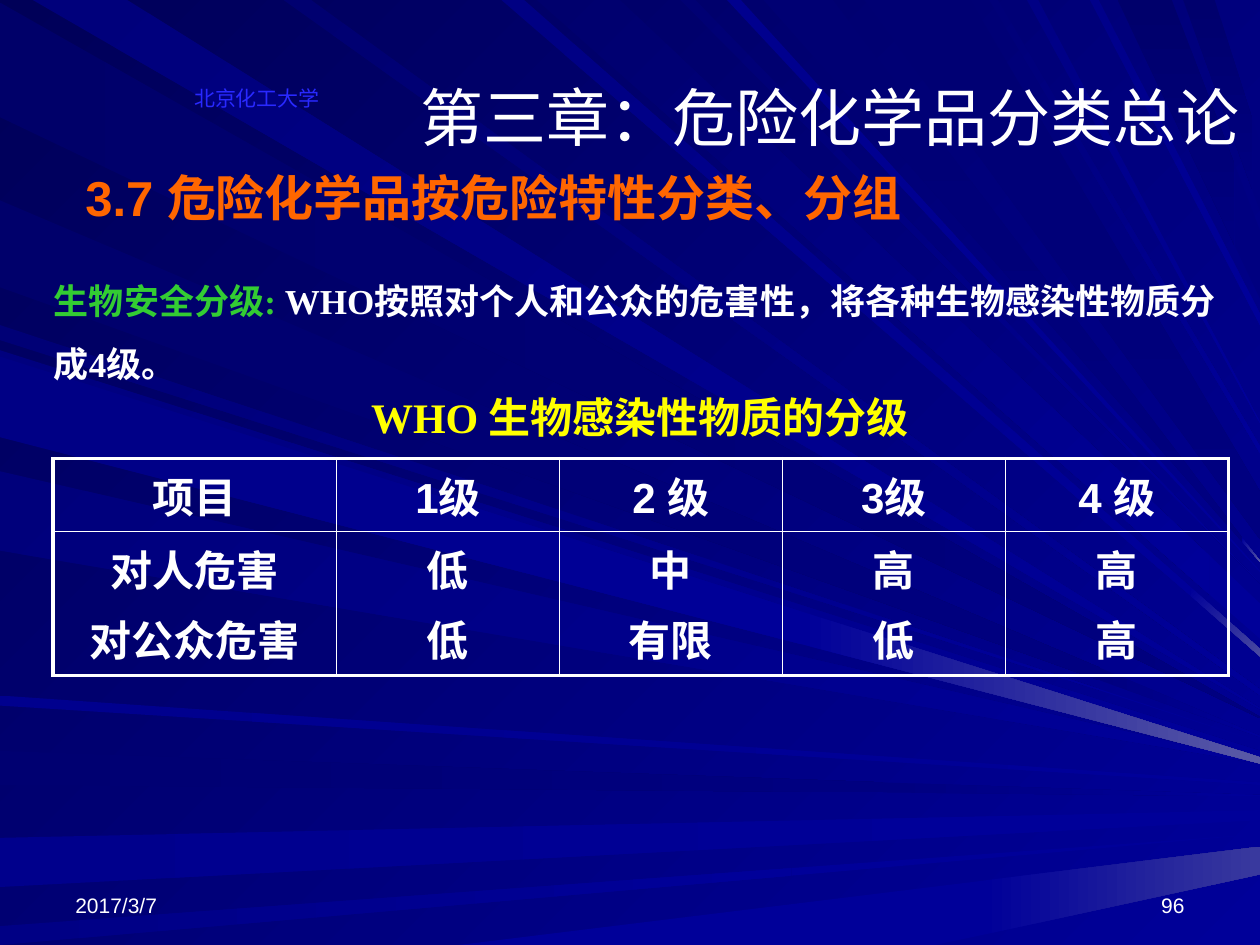
from collections import namedtuple
from itertools import pairwise
from lxml.etree import SubElement
from pptx import Presentation
from pptx.dml.color import RGBColor
from pptx.enum.text import MSO_ANCHOR, PP_ALIGN
from pptx.oxml.ns import qn
from pptx.util import Inches, Pt

COLS, ROWS = 1000, 750  # the slide as a grid
U = Inches(0.01)        # one step of that grid
WHITE, YELLOW, GREEN, ORANGE, BLUE = "FFFFFF", "FFFF00", "33CC33", "FF6600", "2929FF"
NIGHT, DEEP, BRIGHT = "000058", "000080", "000099"
GLOWS = SOFT, CLEAR, STRONG = "39399E", "4A4AA1", "5A5AA6"


def paint(fill, first, last, angle=0):
    """Fill with a gradient turned clockwise, or plainly if both colours agree."""
    if first == last:
        fill.solid()
        fill.fore_color.rgb = RGBColor.from_string(first)
        return
    fill.gradient()
    fill.gradient_angle = (360 - angle) % 360
    for stop, color in zip(fill.gradient_stops, (first, last)):
        stop.color.rgb = RGBColor.from_string(color)


def write(tf, paragraphs):
    """Write (paragraph format, [(text, font format), ...]) pairs."""
    for i, (layout, runs) in enumerate(paragraphs):
        p = tf.paragraphs[0] if i == 0 else tf.add_paragraph()
        for name, value in layout.items():
            setattr(p, name, value)
        for text, look in runs:
            r = p.add_run()
            r.text = text
            for name, value in look.items():
                if name == "color":
                    r.font.color.rgb = RGBColor.from_string(value)
                else:
                    setattr(r.font, name, value)


prs = Presentation()
prs.slide_width, prs.slide_height = COLS * U, ROWS * U
slide = prs.slides.add_slide(prs.slide_layouts[6])
paint(slide.background.fill, NIGHT, BRIGHT, 45)

# Light rays, back to front. Each runs from a span on one edge of the slide to a
# span on the right edge; spans give the upper side first, then the lower.
# blue is the starting strength of blue, color the one it grows into. After the
# column named split, the ray goes on to the color named tail.
Ray = namedtuple("Ray", "edge start end blue color split tail", defaults=(None, None))
rays = [
    Ray("left", (2, 93), (569, 570), "69", DEEP),
    Ray("top", (101, 26), (562, 563), "7B", BRIGHT),
    Ray("left", (596, 623), (631, 632), "71", DEEP, 701, BRIGHT),
    Ray("left", (665, 704), (643, 651), "8C", BRIGHT, 831, BRIGHT),
    Ray("left", (735, 750), (662, 662), "85", BRIGHT, 628, BRIGHT),
    Ray("bottom", (364, 742), (672, 694), "99", BRIGHT, 780, SOFT),
    Ray("left", (258, 270), (589, 589), "76", BRIGHT, 873, BRIGHT),
    Ray("left", (159, 228), (584, 585), "6B", DEEP, 873, BRIGHT),
    Ray("top", (416, 398), (515, 521), "83", BRIGHT, 945, CLEAR),
    Ray("top", (492, 426), (479, 507), "6D", BRIGHT, 960, BRIGHT),
    Ray("top", (552, 540), (463, 463), "73", BRIGHT),
    Ray("top", (661, 606), (445, 446), "73", DEEP, 986, STRONG),
    Ray("top", (930, 887), (183, 237), "6B", DEEP, 980, DEEP),
    Ray("top", (964, 939), (114, 167), "6D", DEEP, 994, DEEP),
    Ray("left", (278, 342), (596, 602), "7E", BRIGHT),
    Ray("left", (374, 437), (605, 606), "7B", BRIGHT),
    Ray("left", (552, 560), (621, 623), "8E", BRIGHT),
    Ray("top", (247, 225), (547, 552), "70", BRIGHT),
    Ray("top", (588, 577), (453, 454), "8E", BRIGHT),
    Ray("top", (770, 686), (390, 428), "73", DEEP),
    Ray("top", (792, 785), (354, 360), "78", BRIGHT),
    Ray("top", (824, 815), (335, 336), "85", BRIGHT),
    Ray("top", (872, 865), (249, 258), "8A", BRIGHT),
    Ray("left", (283, 347), (601, 606), "85", BRIGHT, 635, STRONG),
]
for ray in rays:
    # Cross-sections: starting edge, split column, right edge
    edge_row = ROWS if ray.edge == "bottom" else 0
    near = [(0, v) if ray.edge == "left" else (v, edge_row) for v in ray.start]
    far = [(COLS, y) for y in ray.end]
    sections = [near, far]
    if ray.split:
        middle = [(ray.split, y + (end - y) * (ray.split - x) / (COLS - x))
                  for (x, y), end in zip(near, ray.end)]
        sections = [near, middle, far]

    # Strong rays run along their edge, the others slant; faint ones stay level
    from_top = ray.edge == "top"
    if ray.color == DEEP:
        angle = 90 if from_top else 0
    else:
        angle = 45 if from_top or ray.blue < "85" else 0
    tail_start = BRIGHT if ray.tail in GLOWS else ray.color
    coats = [("0000" + ray.blue, ray.color, angle),
             (tail_start, ray.tail, 45 if from_top else 0)]

    for ((upper, lower), (next_upper, next_lower)), coat in zip(pairwise(sections), coats):
        builder = slide.shapes.build_freeform(*upper, scale=U)
        builder.add_line_segments([next_upper, next_lower, lower], close=True)
        s = builder.convert_to_shape()
        s.shadow.inherit = False
        s.line.fill.background()
        paint(s.fill, *coat)

# Text styles
small = dict(size=Pt(12), name="Arial", color=WHITE)
school = small | dict(color=BLUE)
title = small | dict(size=Pt(36))
heading = dict(size=Pt(28), name="Arial", bold=True, color=ORANGE)
body = dict(size=Pt(20), name="Times New Roman", bold=True, color=WHITE)
term = body | dict(color=GREEN)
caption = body | dict(size=Pt(24), color=YELLOW)
cell_font = dict(size=Pt(24), name="Arial", bold=True, color=WHITE)

left, center, right = [dict(alignment=a) for a in
                       (PP_ALIGN.LEFT, PP_ALIGN.CENTER, PP_ALIGN.RIGHT)]
tight = center | dict(line_spacing=0.7, space_before=Pt(12))
TOP, MIDDLE, BOTTOM = MSO_ANCHOR.TOP, MSO_ANCHOR.MIDDLE, MSO_ANCHOR.BOTTOM

# Text boxes: column, row, width, height; anchor; paragraphs
footer_row, footer_width, footer_height, margin = 683, 233, 50, 50
boxes = [
    ((margin, footer_row, footer_width, footer_height), BOTTOM,
     [(left, [("2017/3/7", small)])]),
    ((COLS - margin - footer_width, footer_row, footer_width, footer_height), BOTTOM,
     [(right, [("96", small)])]),
    ((317, 30, COLS - 317, 125), MIDDLE, [(center, [("第三章：危险化学品分类总论", title)])]),
    ((33, 200, 950, 160), TOP, [
        (left | dict(line_spacing=1.5), [
            ("生物安全分级: ", term),
            ("WHO按照对个人和公众的危害性，将各种生物感染性物质分成4级。", body)]),
        (tight, [("WHO 生物感染性物质的分级", caption)])]),
    ((133, 58, 142, 35), BOTTOM, [(center, [("北京化工大学", school)])]),
    ((58, 133, 817, 50), TOP, [
        (left | dict(line_spacing=0.9), [("3.7 危险化学品按危险特性分类、分组", heading)])]),
]
for place, anchor, paragraphs in boxes:
    tf = slide.shapes.add_textbox(*[v * U for v in place]).text_frame
    tf.word_wrap = True
    tf.vertical_anchor = anchor
    write(tf, paragraphs)

# Hazard level table: each cell is a list of lines
levels = [
    [["项目"], ["1级"], ["2 级"], ["3级"], ["4 级"]],
    [["对人危害", "对公众危害"], ["低", "低"], ["中", "有限"], ["高", "低"], ["高", "高"]],
]
widths, heights = [225] + [177] * 4, [58, 114]
table = slide.shapes.add_table(
    len(heights), len(widths), 42 * U, 364 * U, sum(widths) * U, sum(heights) * U).table
table.first_row = table.horz_banding = False
for column, width in zip(table.columns, widths):
    column.width = width * U
for row, height in zip(table.rows, heights):
    row.height = height * U

for i, row in enumerate(levels):
    for j, lines in enumerate(row):
        cell = table.cell(i, j)
        cell.fill.background()
        cell.vertical_anchor = MIDDLE
        write(cell.text_frame, [
            (center | dict(space_before=Pt(5 if n else 0)), [(line, cell_font)])
            for n, line in enumerate(lines)])
        # Thick outer frame, thin inner lines
        tcPr = cell._tc.get_or_add_tcPr()
        outer = dict(lnL=j == 0, lnR=j == len(widths) - 1,
                     lnT=i == 0, lnB=i == len(heights) - 1)
        for n, (side, thick) in enumerate(outer.items()):
            ln = SubElement(tcPr, qn("a:" + side), w=str(Pt(2.25 if thick else 1)))
            SubElement(SubElement(ln, qn("a:solidFill")), qn("a:srgbClr"), val=WHITE)
            tcPr.insert(n, ln)

prs.save("out.pptx")
